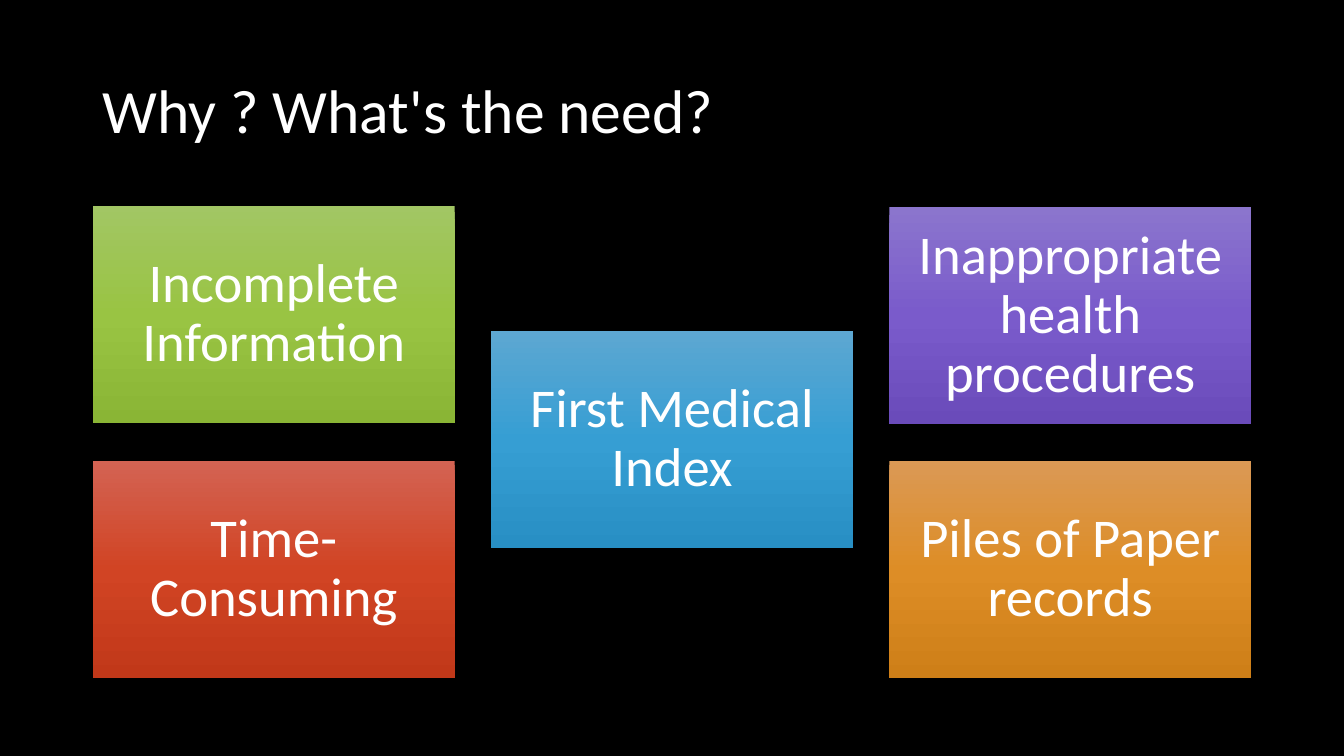
"""Build the slide on why a medical index is needed."""
from copy import deepcopy

from pptx import Presentation
from pptx.dml.color import RGBColor
from pptx.enum import shapes, text
from pptx.oxml.ns import qn
from pptx.util import Inches, Pt


def color(code):
    return RGBColor.from_string(code)


def write(shape, words, size, align, inset):
    frame = shape.text_frame
    frame.word_wrap = True
    frame.vertical_anchor = text.MSO_ANCHOR.MIDDLE
    frame.margin_left = frame.margin_right = Inches(inset[0])
    frame.margin_top = frame.margin_bottom = Inches(inset[1])
    para = frame.paragraphs[0]
    para.alignment = align
    para.line_spacing = 0.9
    run = para.add_run()
    run.text = words
    run.font.name = "Calibri"
    run.font.size = Pt(size)
    run.font.color.rgb = color("FFFFFF")


deck = Presentation()
deck.slide_width, deck.slide_height = Inches(13.33), Inches(7.5)
slide = deck.slides.add_slide(deck.slide_layouts[6])
slide.background.fill.solid()
slide.background.fill.fore_color.rgb = color("000000")

title = slide.shapes.add_textbox(
    Inches(0.92), Inches(0.4), Inches(11.5), Inches(1.45))
write(title, "Why ? What's the need?", 44, text.PP_ALIGN.LEFT, (0.1, 0.05))

left, step = 0.92, 3.95
cards = [
    (0, 2.04, "Incomplete Information", ("A2C664", "99C443", "8AB535")),
    (1, 3.28, "First Medical Index", ("5DA7D2", "369ED3", "288FC4")),
    (2, 2.05, "Inappropriate health procedures", ("8B75CD", "7A5BCB", "6A4BBA")),
    (0, 4.57, "Time- Consuming", ("D36353", "D14424", "C13819")),
    (2, 4.57, "Piles of Paper records", ("DB9955", "DD8D26", "CE7F18")),
]
for col, top, words, shades in cards:
    card = slide.shapes.add_shape(
        shapes.MSO_SHAPE.RECTANGLE, Inches(left + col * step), Inches(top),
        Inches(3.59), Inches(2.16))
    card.shadow.inherit = False
    card.line.fill.background()
    card.fill.gradient()
    card.fill.gradient_angle = 270
    stops = card.element.spPr.find(".//" + qn("a:gsLst"))
    stops.append(deepcopy(stops[0]))
    for stop, place, shade in zip(card.fill.gradient_stops, (0, 0.5, 1), shades):
        stop.position = place
        stop.color.rgb = color(shade)
    write(card, words, 39, text.PP_ALIGN.CENTER, (0.16, 0.16))

deck.save("out.pptx")
